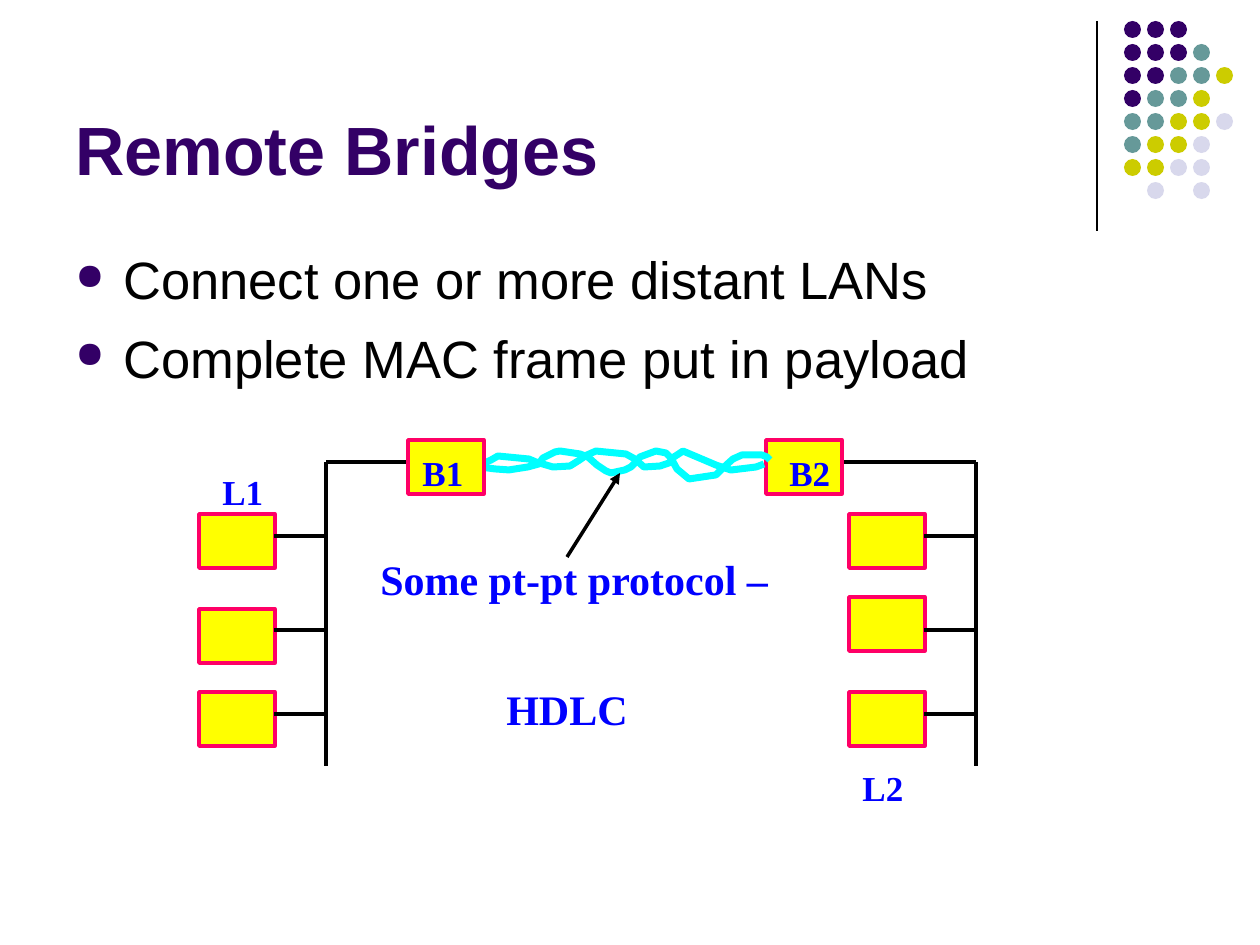
from dataclasses import dataclass

from lxml.etree import SubElement as sub
from pptx import Presentation
from pptx.dml.color import RGBColor as RGB
from pptx.enum.shapes import MSO_CONNECTOR as CONN, MSO_SHAPE as SHAPE
from pptx.enum.text import MSO_ANCHOR as ANCHOR
from pptx.oxml.ns import qn
from pptx.util import Emu, Pt

DPI = 126  # px to the inch


@dataclass(frozen=True)
class Theme:
    ink: str = "000000"
    plum: str = "330066"
    teal: str = "669999"
    lime: str = "CCCC00"
    mist: str = "D8D8EC"
    host: str = "FFFF00"
    edge: str = "FF0066"
    wire: str = "00FFFF"
    label: str = "0000FF"
    sans: str = "Arial"
    serif: str = "Times New Roman"
    title: int = 39
    body: int = 30
    note: int = 24
    tag: int = 20


T = Theme()


def px(n):
    return Emu(round(n * 914400 / DPI))


def text(page, box, lines, *, size, color, font=T.sans, bold=False, top=10,
         anchor=ANCHOR.TOP, gap=0, bullet=None, indents=()):
    """Add a text box with one paragraph a line; gap parts the paragraphs."""
    frame = page.shapes.add_textbox(*map(px, box)).text_frame
    frame.word_wrap = True
    frame.vertical_anchor = anchor
    frame.margin_top = px(top)
    for i, line in enumerate(lines):
        para = frame.add_paragraph() if i else frame.paragraphs[0]
        props = para._p.get_or_add_pPr()
        if i:
            para.space_before = Pt(gap)
        if indents:
            props.set("marL", str(px(indents[i])))
        if bullet:
            props.set("indent", str(-px(indents[i])))
            tint = sub(props, qn("a:buClr"))
            sub(tint, qn("a:srgbClr"), val=T.plum)
            sub(props, qn("a:buSzPct"), val="70000")
            sub(props, qn("a:buChar"), char=bullet)
        run = para.add_run()
        run.text = line
        run.font.name, run.font.size, run.font.bold = font, Pt(size), bold
        run.font.color.rgb = RGB.from_string(color)


def tag(page, x, y, word):
    text(page, (x, y, 84, 54), [word], size=T.tag, color=T.label,
         font=T.serif, bold=True)


def line(page, x1, y1, x2, y2, width=2, arrow=False):
    conn = page.shapes.add_connector(CONN.STRAIGHT, *map(px, (x1, y1, x2, y2)))
    conn.line.color.rgb = RGB.from_string(T.ink)
    conn.line.width = Pt(width)
    if arrow:
        sub(conn.line._get_or_add_ln(), qn("a:tailEnd"), type="triangle")
    sub(conn._element.spPr, qn("a:effectLst"))


def shape(page, kind, box, fill, edge=None):
    item = page.shapes.add_shape(kind, *map(px, box))
    item.shadow.inherit = False
    item.fill.solid()
    item.fill.fore_color.rgb = RGB.from_string(fill)
    if edge:
        item.line.color.rgb = RGB.from_string(edge)
        item.line.width = Pt(2)
    else:
        item.line.fill.background()


def node(page, x, y):
    shape(page, SHAPE.RECTANGLE, (x, y, 76, 54), T.host, T.edge)


def dots(page, x, y):
    """Draw the corner ornament: a rule and a grid of coloured dots."""
    tints = {"P": T.plum, "T": T.teal, "L": T.lime, "M": T.mist}
    rows = ("PPP", "PPPT", "PPTTL", "PTTL", "TTLLM", "TLLM", "LLMM", ".M.M")
    line(page, x, y, x, y + 210, width=0.75)
    for r, row in enumerate(rows):
        for c, key in enumerate(row):
            if key in tints:
                spot = (x + 27 + 23 * c, y + 23 * r, 17, 17)
                shape(page, SHAPE.OVAL, spot, tints[key])


def lan(page, box, tops, link):
    """Draw hosts on a bus at the right edge; link is the bridge end's x."""
    x, y, w, h = box
    bus = x + w
    for top in tops:
        node(page, x, y + top)
    for drop in (74, 168, 252):
        line(page, x + 75, y + drop, bus, y + drop)
    line(page, bus, y, bus, y + h)
    line(page, x + link, y, bus, y)


def strand(page, x, y, points):
    first, *rest = [(px(x + a), px(y + b)) for a, b in points]
    build = page.shapes.build_freeform(*first, scale=1.0)
    build.add_line_segments(rest, close=False)
    item = build.convert_to_shape()
    item.shadow.inherit = False
    item.fill.background()
    item.line.color.rgb = RGB.from_string(T.wire)
    item.line.width = Pt(4)


def bridges(page, x, y):
    """Draw two bridges joined by a twisted pair, with its caption."""
    node(page, x + 358, y)
    strand(page, x + 72, y + 11, (
        (0, 14), (11, 9), (18, 5), (49, 8), (56, 11), (73, 16), (90, 15),
        (98, 10), (107, 4), (116, 0), (146, 3), (155, 8), (164, 16),
        (180, 15), (189, 12), (194, 6), (203, 0), (236, 14), (251, 19),
        (276, 16), (284, 13)))
    strand(page, x + 72, y + 11, (
        (0, 16), (15, 18), (29, 19), (48, 16), (59, 13), (63, 7), (75, 1),
        (80, 0), (100, 3), (108, 6), (117, 14), (126, 20), (131, 22),
        (145, 19), (151, 16), (156, 11), (160, 6), (176, 0), (186, 2),
        (191, 7), (197, 18), (209, 28), (236, 24), (242, 18), (253, 8),
        (262, 4), (282, 4), (287, 6), (290, 9)))
    line(page, x + 159, y + 117, x + 212, y + 33, arrow=True)
    node(page, x, y)
    tag(page, x + 2, y + 1, "B1")
    tag(page, x + 369, y + 1, "B2")
    text(page, (x - 40, y + 104, 451, 190), ["Some pt-pt protocol –", "HDLC"],
         size=T.note, color=T.label, font=T.serif, bold=True, gap=45,
         indents=(0, 126))


def main():
    deck = Presentation()
    deck.slide_width, deck.slide_height = px(1260), px(945)
    page = deck.slides.add_slide(deck.slide_layouts[6])
    dots(page, 1097, 21)
    text(page, (63, 16, 1040, 179), ["Remote Bridges"], size=T.title,
         color=T.plum, bold=True, anchor=ANCHOR.BOTTOM)
    text(page, (63, 237, 1134, 607),
         ["Connect one or more distant LANs",
          "Complete MAC frame put in payload"],
         size=T.body, color=T.ink, gap=9, bullet="●", indents=(48, 48))
    lan(page, (199, 462, 127, 304), (52, 147, 230), link=211)
    lan(page, (849, 462, 127, 304), (52, 135, 230), link=-9)
    bridges(page, 408, 440)
    tag(page, 210, 460, "L1")
    tag(page, 850, 756, "L2")
    deck.save("out.pptx")


if __name__ == "__main__":
    main()
